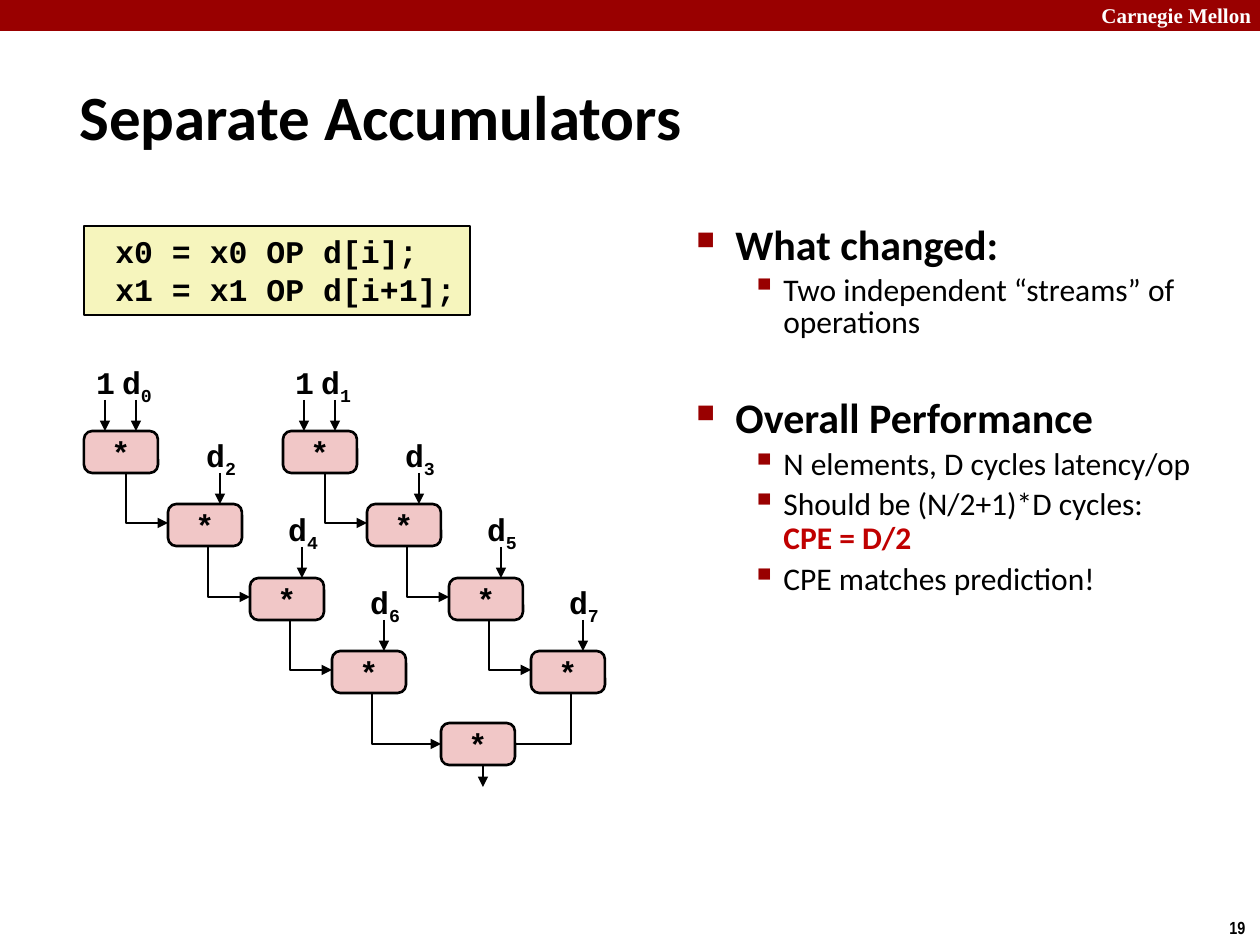
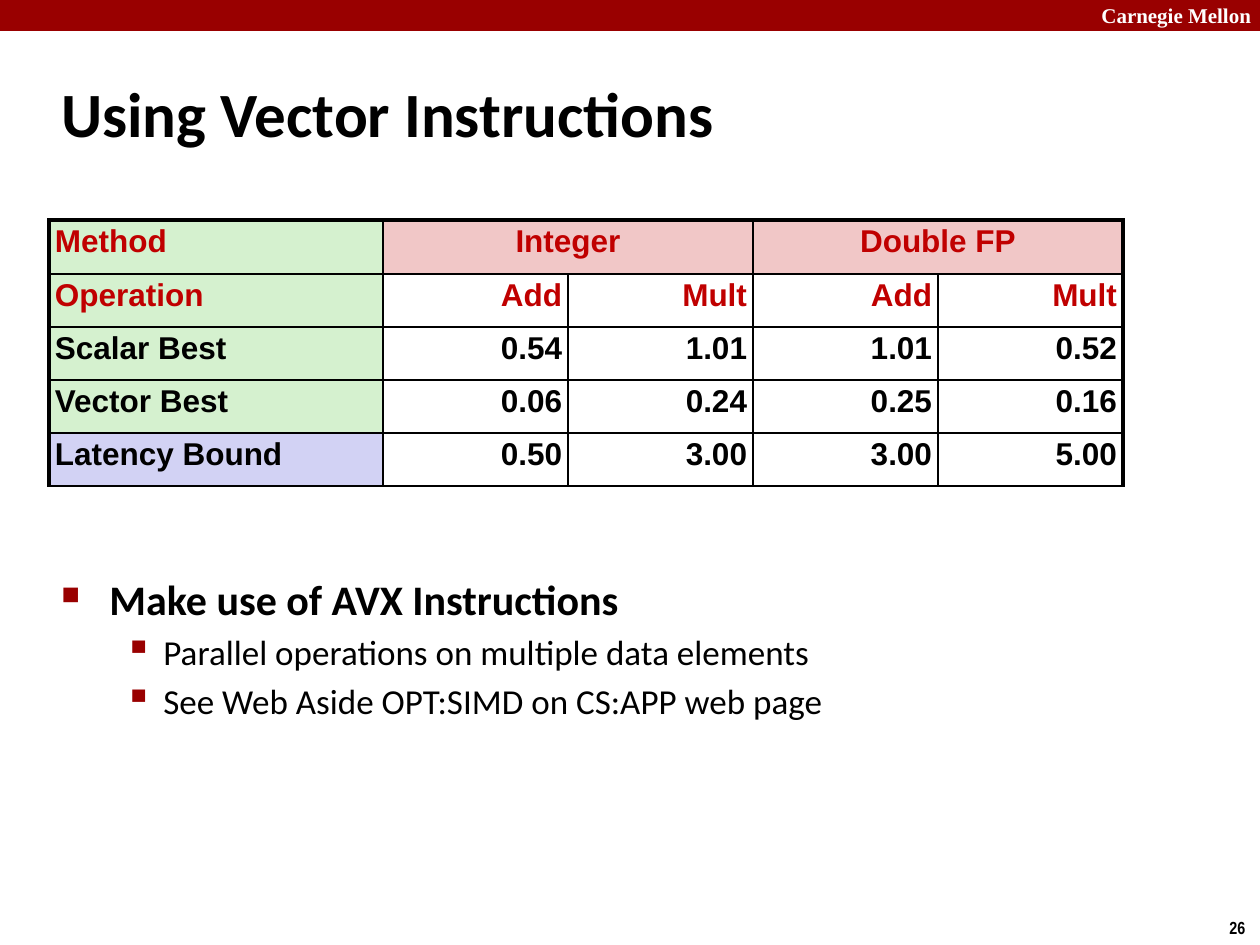
"""Build two lecture slides on accumulators and vector instructions."""
import lxml.etree
import pptx
import pptx.dml.color
import pptx.enum.shapes
import pptx.enum.text
import pptx.oxml.ns
import pptx.util

RGBColor = pptx.dml.color.RGBColor
ALIGN = pptx.enum.text.PP_ALIGN
ANCHOR = pptx.enum.text.MSO_ANCHOR
SHAPE = pptx.enum.shapes.MSO_SHAPE
STRAIGHT = pptx.enum.shapes.MSO_CONNECTOR.STRAIGHT

BLACK = RGBColor(0x00, 0x00, 0x00)
WHITE = RGBColor(0xFF, 0xFF, 0xFF)
BAND_RED = RGBColor(0x99, 0x00, 0x00)
ACCENT_RED = RGBColor(0xC0, 0x00, 0x00)
PINK = RGBColor(0xF1, 0xC7, 0xC7)
YELLOW = RGBColor(0xF6, 0xF5, 0xBD)
GREEN = RGBColor(0xD5, 0xF1, 0xCF)
LAVENDER = RGBColor(0xD2, 0xD2, 0xF4)

TITLE = {"name": "Calibri", "size": 36, "bold": True}
HEADER = {"name": "Times New Roman", "size": 12, "bold": True}
PAGE_NUMBER = {"name": "Arial Narrow", "size": 10, "bold": True}
CODE = {"name": "Courier New", "size": 18, "bold": True}
CELL = {"name": "Arial", "size": 18, "bold": True}
TOPIC = {"name": "Calibri", "size": 24, "bold": True}
DETAIL = {"name": "Calibri", "size": 18, "bold": False}
LARGE_DETAIL = {**DETAIL, "size": 20}
STRONG_DETAIL = {**DETAIL, "bold": True}

CODE_LINES = (" x0 = x0 OP d[i];", " x1 = x1 OP d[i+1];")
STREAMS = ((0, "0246"), (199, "1357"))
STEP_LEFTS = (84, 168, 250, 332)
STEP_TOPS = (431, 504, 578, 651)
BOX_WIDTH, BOX_HEIGHT = 74, 42
MERGE_LEFT, MERGE_TOP = 441, 723

ACCUMULATOR_POINTS = [
    {"level": 0, "text": "What changed:", "spacing": 0.85},
    {"level": 1, "text": "Two independent “streams” of operations", "spacing": 0.85},
    {"level": 0, "text": "Overall Performance", "spacing": 0.85, "before": 34},
    {"level": 1, "text": "N elements, D cycles latency/op", "spacing": 0.9},
    {"level": 1, "text": "Should be (N/2+1)*D cycles:", "strong": "CPE = D/2", "spacing": 0.9},
    {"level": 1, "text": "CPE matches prediction!", "spacing": 0.9},
]
VECTOR_POINTS = [
    {"level": 0, "text": "Make use of AVX Instructions"},
    {"level": 1, "text": "Parallel operations on multiple data elements"},
    {"level": 1, "text": "See Web Aside OPT:SIMD on CS:APP web page"},
]
BULLETS = (("■", 60000), ("▪", 110000))

TABLE_ROWS = (
    ("Method", "Integer", "", "Double FP", ""),
    ("Operation", "Add", "Mult", "Add", "Mult"),
    ("Scalar Best", "0.54", "1.01", "1.01", "0.52"),
    ("Vector Best", "0.06", "0.24", "0.25", "0.16"),
    ("Latency Bound", "0.50", "3.00", "3.00", "5.00"),
)
COLUMN_WIDTHS = (334, 185, 185, 185, 185)
ROW_HEIGHTS = (54, 53, 53, 53, 53)


def px(length):
    return round(length * 914400 / 126)


def apply_format(target, **values):
    for name, value in values.items():
        setattr(target, name, value)


def add_element(parent, tag, **attributes):
    element = lxml.etree.SubElement(parent, pptx.oxml.ns.qn(tag))
    for name, value in attributes.items():
        element.set(name, str(value))
    return element


def add_run(paragraph, text, style, color=BLACK):
    run = paragraph.add_run()
    run.text = text
    apply_format(run.font, **{**style, "size": pptx.util.Pt(style["size"])})
    run.font.color.rgb = color
    return run


def next_paragraph(frame, index):
    return frame.add_paragraph() if index else frame.paragraphs[0]


def add_text(slide, box, text, style, color=BLACK, inset=None, **frame_format):
    frame = slide.shapes.add_textbox(*map(px, box)).text_frame
    apply_format(frame, **{"word_wrap": True, **frame_format})
    if inset is not None:
        set_insets(frame, inset)
    add_run(frame.paragraphs[0], text, style, color)
    return frame.paragraphs[0]


def set_insets(target, inset):
    for side in ("left", "top", "right", "bottom"):
        setattr(target, "margin_" + side, px(inset))


def add_box(slide, kind, box, fill, weight=None):
    shape = slide.shapes.add_shape(kind, *map(px, box))
    shape.shadow.inherit = False
    shape.fill.solid()
    shape.fill.fore_color.rgb = fill
    if weight is None:
        shape.line.fill.background()
    else:
        set_line(shape, weight)
    return shape


def set_line(shape, weight, arrow=False):
    shape.line.color.rgb = BLACK
    shape.line.width = pptx.util.Pt(weight)
    if arrow:
        line = shape._element.spPr.find(pptx.oxml.ns.qn("a:ln"))
        add_element(line, "a:tailEnd", type="triangle")


def add_down_arrow(slide, x, top, bottom):
    connector = slide.shapes.add_connector(STRAIGHT, px(x), px(top), px(x), px(bottom))
    set_line(connector, 1.5, arrow=True)
    add_element(connector._element.spPr, "a:effectLst")


def add_elbow(slide, x, top, end_x, end_y, arrow=True):
    builder = slide.shapes.build_freeform(px(x), px(top))
    builder.add_line_segments([(px(x), px(end_y)), (px(end_x), px(end_y))], close=False)
    elbow = builder.convert_to_shape()
    elbow.shadow.inherit = False
    elbow.fill.background()
    set_line(elbow, 1.5, arrow)


def add_operation(slide, left, top):
    shape = add_box(slide, SHAPE.ROUNDED_RECTANGLE, (left, top, BOX_WIDTH, BOX_HEIGHT), PINK, 1.5)
    shape.adjustments[0] = 0.196
    apply_format(shape.text_frame, word_wrap=False, vertical_anchor=ANCHOR.MIDDLE)
    paragraph = shape.text_frame.paragraphs[0]
    paragraph.alignment = ALIGN.CENTER
    add_run(paragraph, "*", CODE)


def add_operand(slide, left, top, width, arrow_x, text, subscript=""):
    paragraph = add_text(slide, (left, top - 74, width, 50), text, CODE, inset=6, word_wrap=False)
    paragraph.alignment = ALIGN.CENTER
    if subscript:
        run = add_run(paragraph, subscript, CODE)
        run._r.get_or_add_rPr().set("baseline", "-25000")
    add_down_arrow(slide, arrow_x, top - 31, top)


def add_stream(slide, offset, subscripts):
    lefts = [left + offset for left in STEP_LEFTS]
    for index, (left, top, subscript) in enumerate(zip(lefts, STEP_TOPS, subscripts)):
        if index:
            add_elbow(slide, left - 42, STEP_TOPS[index - 1] + BOX_HEIGHT, left, top + 19)
        else:
            add_operand(slide, left + 6, top, 31, left + 21, "1")
        add_operand(slide, left + 31, top, 44, left + 52, "d", subscript)
        add_operation(slide, left, top)
    return lefts[-1] + 40


def add_dataflow(slide):
    add_down_arrow(slide, 483, 756, 787)
    exits = [add_stream(slide, *stream) for stream in STREAMS]
    bottom = STEP_TOPS[-1] + BOX_HEIGHT
    middle = MERGE_TOP + BOX_HEIGHT // 2
    add_elbow(slide, exits[0], bottom, MERGE_LEFT, middle)
    add_elbow(slide, exits[1], bottom, MERGE_LEFT + BOX_WIDTH, middle, arrow=False)
    add_operation(slide, MERGE_LEFT, MERGE_TOP)


def add_code(slide):
    shape = add_box(slide, SHAPE.RECTANGLE, (84, 226, 386, 89), YELLOW, 1)
    frame = shape.text_frame
    apply_format(frame, word_wrap=False, vertical_anchor=ANCHOR.TOP)
    for index, line in enumerate(CODE_LINES):
        paragraph = next_paragraph(frame, index)
        paragraph.alignment = ALIGN.LEFT
        add_run(paragraph, line, CODE)


def add_points(slide, box, points, detail, indents):
    frame = slide.shapes.add_textbox(*map(px, box)).text_frame
    frame.word_wrap = True
    for index, point in enumerate(points):
        level = point["level"]
        style = detail if level else TOPIC
        paragraph = next_paragraph(frame, index)
        paragraph.level = level
        properties = paragraph._p.get_or_add_pPr()
        margin, hanging = indents[level]
        properties.set("marL", str(px(margin)))
        properties.set("indent", str(-px(hanging)))
        character, size = BULLETS[level]
        add_element(add_element(properties, "a:buClr"), "a:srgbClr", val=BAND_RED)
        add_element(properties, "a:buSzPct", val=size)
        add_element(properties, "a:buChar", char=character)
        paragraph.line_spacing = point.get("spacing", 1.0)
        if index:
            paragraph.space_before = pptx.util.Pt(point.get("before", style["size"] * 0.2))
        add_run(paragraph, point["text"], style)
        if "strong" in point:
            paragraph.add_line_break()
            add_run(paragraph, point["strong"], STRONG_DETAIL, ACCENT_RED)


def set_borders(cell, weights):
    properties = cell._tc.get_or_add_tcPr()
    for side, weight in weights.items():
        line = add_element(properties, "a:ln" + side, w=pptx.util.Pt(weight))
        add_element(add_element(line, "a:solidFill"), "a:srgbClr", val=BLACK)


def cell_fill(row, column):
    if column == 0:
        return LAVENDER if row == len(TABLE_ROWS) - 1 else GREEN
    return PINK if row == 0 else None


def add_results(slide):
    columns = len(COLUMN_WIDTHS)
    box = (49, 220, sum(COLUMN_WIDTHS), sum(ROW_HEIGHTS))
    table = slide.shapes.add_table(len(TABLE_ROWS), columns, *map(px, box)).table
    apply_format(table, first_row=False, horz_banding=False)
    for column, width in zip(table.columns, COLUMN_WIDTHS):
        column.width = px(width)
    for row, height in zip(table.rows, ROW_HEIGHTS):
        row.height = px(height)
    for first in (1, 3):
        table.cell(0, first).merge(table.cell(0, first + 1))
    for row, values in enumerate(TABLE_ROWS):
        for column, text in enumerate(values):
            cell = table.cell(row, column)
            span = cell.span_width if cell.is_merge_origin else 1
            set_borders(cell, {
                "L": 1 if column else 2.25,
                "R": 2.25 if column + span == columns else 1,
                "T": 1 if row else 2.25,
                "B": 1,
            })
            fill = cell_fill(row, column)
            if fill is None:
                cell.fill.background()
            else:
                cell.fill.solid()
                cell.fill.fore_color.rgb = fill
            set_insets(cell, 6)
            if text:
                paragraph = cell.text_frame.paragraphs[0]
                side = ALIGN.RIGHT if row else ALIGN.CENTER
                apply_format(paragraph, alignment=side if column else ALIGN.LEFT, line_spacing=0.95)
                add_run(paragraph, text, CELL, BLACK if row > 1 else ACCENT_RED)


def add_slide(presentation, title, left, top, number):
    slide = presentation.slides.add_slide(presentation.slide_layouts[6])
    add_box(slide, SHAPE.RECTANGLE, (0, 0, 1260, 31), BAND_RED)
    add_text(slide, (1089, -4, 180, 38), "Carnegie Mellon", HEADER, WHITE)
    add_text(slide, (1217, 911, 43, 34), number, PAGE_NUMBER, word_wrap=False)
    add_text(slide, (left, top, 1046, 105), title, TITLE, vertical_anchor=ANCHOR.MIDDLE)
    return slide


def main():
    presentation = pptx.Presentation()
    apply_format(presentation, slide_width=px(1260), slide_height=px(945))

    slide = add_slide(presentation, "Separate Accumulators", 67, 63, "19")
    add_dataflow(slide)
    add_code(slide)
    add_points(slide, (684, 220, 544, 431), ACCUMULATOR_POINTS, DETAIL, ((39, 39), (87, 32)))

    slide = add_slide(presentation, "Using Vector Instructions", 49, 60, "26")
    add_points(slide, (49, 567, 1145, 258), VECTOR_POINTS, LARGE_DETAIL, ((48, 48), (102, 39)))
    add_results(slide)

    presentation.save("out.pptx")


if __name__ == "__main__":
    main()
